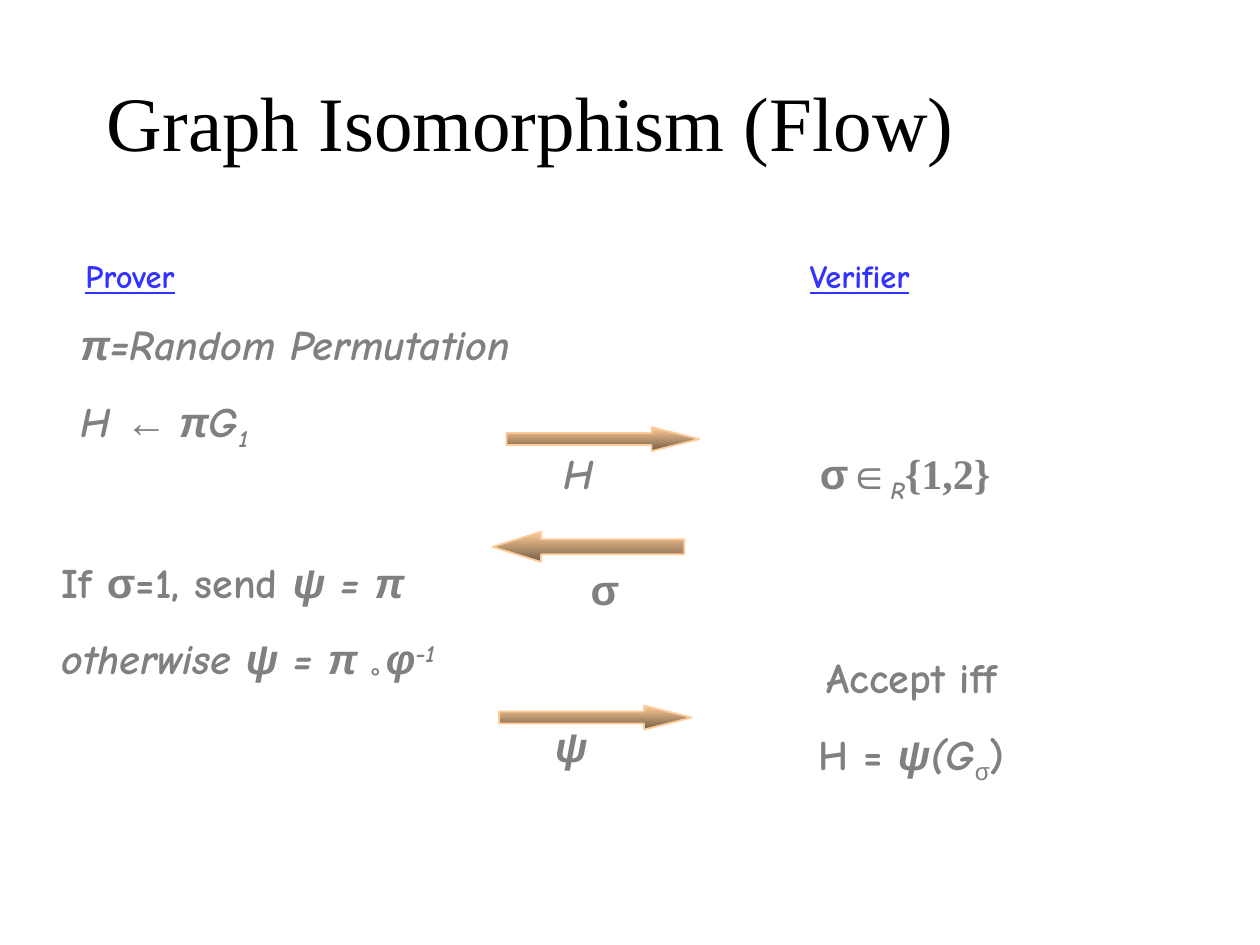
from pptx import Presentation
from pptx.dml.color import RGBColor
from pptx.enum.shapes import MSO_SHAPE
from pptx.enum.text import MSO_ANCHOR, MSO_AUTO_SIZE, PP_ALIGN
from pptx.util import Inches, Pt

RIGHT, LEFT = MSO_SHAPE.RIGHT_ARROW, MSO_SHAPE.LEFT_ARROW
TOP, MID = MSO_ANCHOR.TOP, MSO_ANCHOR.MIDDLE
START, CENTER = PP_ALIGN.LEFT, PP_ALIGN.CENTER
FIT = MSO_AUTO_SIZE.SHAPE_TO_FIT_TEXT
WIDE, HIGH = Inches(10), Inches(7.5)

COLORS = {"title": "000000", "role": "3333FF", "step": "808080",
          "light": "FFCC99", "dark": "755E46"}
COMIC, ARIAL, TIMES = "Comic Neue", "Arial", "Times New Roman"


def style(name, size=24, tone="step", bold=True, italic=False,
          under=False, base=0):
    """Return font values, with the baseline shift in percent."""
    return {"name": name, "size": Pt(size), "bold": bold, "italic": italic,
            "underline": under}, tone, base


STYLES = {
    "title": style(TIMES, 44, "title", bold=False),
    "role": style(COMIC, 32, "role", under=True, base=28),
    "word": style(COMIC),
    "slant": style(COMIC, italic=True),
    "low": style(COMIC, italic=True, base=-25),
    "high": style(COMIC, italic=True, base=30),
    "sign": style(ARIAL),
    "greek": style(ARIAL, italic=True),
    "ring": style(ARIAL, italic=True, base=-25),
    "index": style(ARIAL, bold=False, base=-25),
    "set": style(TIMES),
}


def color(key):
    return RGBColor.from_string(COLORS[key])


def place(left, top, width, height):
    """Turn percent shares of the slide into lengths."""
    return [int(share * side / 100) for share, side in
            zip((left, top, width, height), (WIDE, HIGH, WIDE, HIGH))]


def add_run(para, text, kind):
    values, tone, base = STYLES[kind]
    run = para.add_run()
    run.text = text
    for key, value in values.items():
        setattr(run.font, key, value)
    run.font.color.rgb = color(tone)
    if base:
        run.font._element.set("baseline", str(base * 1000))


def add_text(slide, box, lines, anchor=TOP, align=START, wrap=True, fit=FIT):
    """Add a text box; each line is a list of (text, style) runs."""
    frame = slide.shapes.add_textbox(*place(*box)).text_frame
    form = {"word_wrap": wrap, "auto_size": fit, "vertical_anchor": anchor}
    for key, value in form.items():
        setattr(frame, key, value)
    for row, runs in enumerate(lines):
        para = frame.add_paragraph() if row else frame.paragraphs[0]
        para.alignment = align
        para.space_before = Pt(15 if row else 0)
        for text, kind in runs:
            add_run(para, text, kind)


def add_arrow(slide, kind, box, head):
    shape = slide.shapes.add_shape(kind, *place(*box))
    shape.shadow.inherit = False
    shape.adjustments[1] = head
    shape.fill.gradient()
    shape.fill.gradient_angle = 270
    for stop, key in zip(shape.fill.gradient_stops, ("light", "dark")):
        stop.color.rgb = color(key)
    shape.line.color.rgb = color("light")
    shape.line.width = Pt(1)


def add_prover(slide):
    add_text(slide, (5.4, 33.07, 41.3, 15.6), [
        [("π", "greek"), ("=Random Permutation", "slant")],
        [("H ", "slant"), ("← π", "greek"), ("G", "slant"), ("1", "low")]])
    add_text(slide, (3.9, 58.13, 41, 15.6), [
        [("If ", "word"), ("σ", "sign"), ("=1, send ", "word"),
         ("ψ", "greek"), (" = ", "slant"), ("π", "greek")],
        [("otherwise ", "slant"), ("ψ", "greek"), (" = ", "slant"),
         ("π ", "greek"), ("° ", "ring"), ("φ", "greek"), ("-1", "high")]],
        MID)


def add_verifier(slide):
    add_text(slide, (64.1, 46.67, 15.6, 7.47), [
        [("σ∈", "sign"), ("R", "low"), ("{1,2}", "set")]])
    add_text(slide, (61.4, 68.27, 23.1, 15.6), [
        [("Accept iff ", "word")],
        [("H = ", "word"), ("ψ", "greek"), ("(G", "slant"),
         ("σ", "index"), (") ", "word")]], MID, CENTER)


def add_flow(slide):
    """Add the three messages: an arrow and its label each."""
    flow = [
        (RIGHT, (40.2, 45.2, 15.3, 2.53), 1.99,
         (42, 46.67, 7.9, 6.67), "H", "slant", True),
        (LEFT, (39.1, 56.27, 15.2, 3.2), 1.6,
         (45.9, 58.93, 4, 6.67), "σ", "sign", False),
        (RIGHT, (39.6, 74.67, 15.3, 2.53), 1.99,
         (42.2, 75.6, 6.3, 6.67), "ψ", "greek", True),
    ]
    for kind, box, head, spot, text, face, wrap in flow:
        add_arrow(slide, kind, box, head)
        add_text(slide, spot, [[(text, face)]], MID, CENTER, wrap)


def main():
    deck = Presentation()
    deck.slide_width, deck.slide_height = WIDE, HIGH
    slide = deck.slides.add_slide(deck.slide_layouts[6])
    add_text(slide, (7.5, 4.4, 85, 16.67),
             [[("Graph Isomorphism (Flow)", "title")]], MID,
             fit=MSO_AUTO_SIZE.NONE)
    for left, role in ((5.8, "Prover"), (63.3, "Verifier")):
        add_text(slide, (left, 25.6, 13.5, 8.53), [[(role, "role")]])
    add_prover(slide)
    add_verifier(slide)
    add_flow(slide)
    deck.save("out.pptx")


if __name__ == "__main__":
    main()
